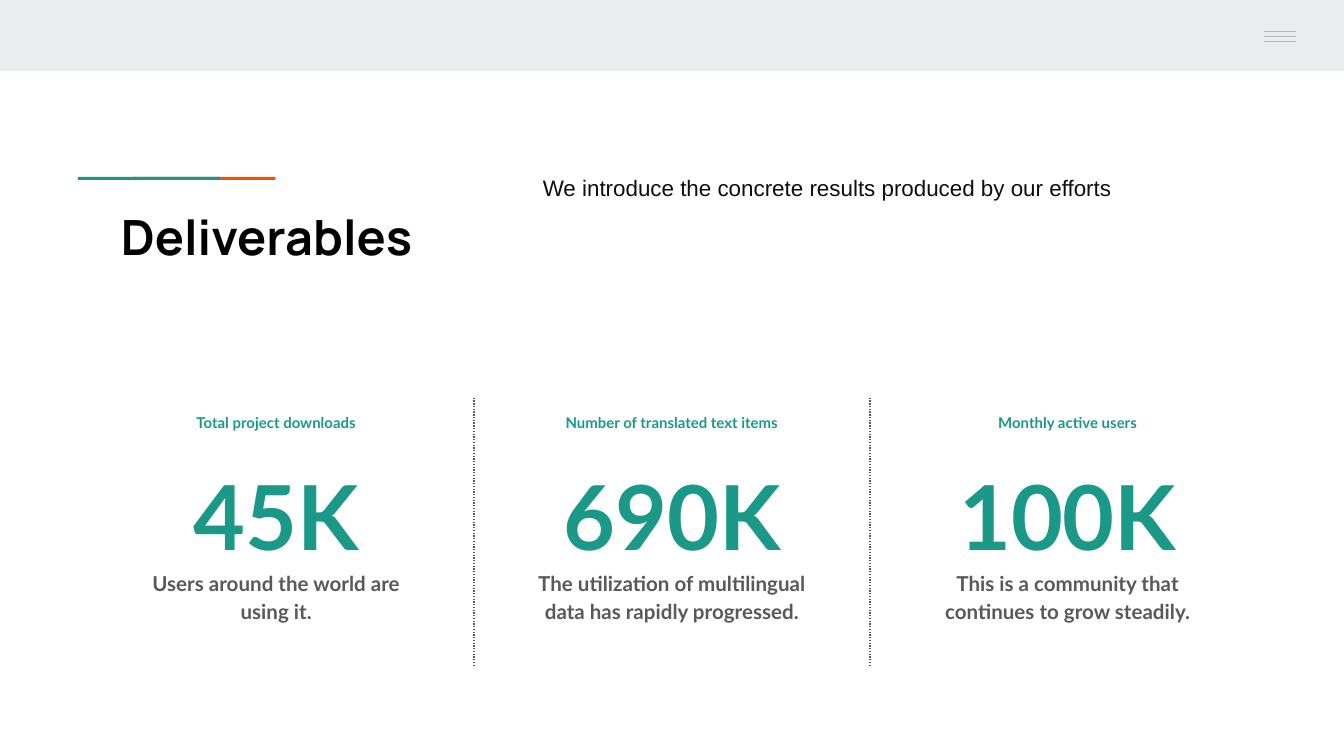
from dataclasses import dataclass

from pptx import Presentation
from pptx.dml.color import RGBColor as RGB
from pptx.enum.dml import MSO_LINE_DASH_STYLE as Dash
from pptx.enum.shapes import MSO_CONNECTOR as Conn, MSO_SHAPE as Shape
from pptx.enum.text import MSO_ANCHOR as Anchor, MSO_AUTO_SIZE as AutoSize, PP_ALIGN as Align
from pptx.oxml.ns import qn
from pptx.util import Pt


@dataclass(frozen=True)
class Theme:
    band: str = "E9EDEE"
    green: str = "1A9988"
    orange: str = "EB5600"
    menu: str = "B7B7B7"
    title: str = "000000"
    intro: str = "0E0E0E"
    grey: str = "595959"
    title_size: int = 26
    intro_size: int = 12
    label_size: int = 8
    number_size: int = 48
    detail_size: int = 11


THEME = Theme()
INSET = 7.2
COLUMN_PITCH = 212
FIRST_CENTRE = 148

STATS = [
    ("Total project downloads", "45K", "Users around the world are using it."),
    ("Number of translated text items", "690K",
     "The utilization of multilingual data has rapidly progressed."),
    ("Monthly active users", "100K",
     "This is a community that continues to grow steadily."),
]


def add_bar(s, x, y, w, h, color):
    bar = s.shapes.add_shape(Shape.RECTANGLE, Pt(x), Pt(y), Pt(w), Pt(h))
    bar.shadow.inherit = False
    bar.fill.solid()
    bar.fill.fore_color.rgb = RGB.from_string(color)
    bar.line.fill.background()


def add_line(s, x1, y1, x2, y2, color, dash=None):
    line = s.shapes.add_connector(Conn.STRAIGHT, Pt(x1), Pt(y1), Pt(x2), Pt(y2))
    line.line.color.rgb = RGB.from_string(color)
    line.line.width = Pt(0.75)
    if dash:
        line.line.dash_style = dash
    sp_pr = line._element.spPr
    sp_pr.append(sp_pr.makeelement(qn("a:effectLst"), {}))


def set_text(sp, text, size, font, color, bold=True, align=Align.LEFT, spacing=1.15):
    tf = sp.text_frame
    tf.word_wrap = True
    tf.auto_size = AutoSize.NONE
    tf.vertical_anchor = Anchor.TOP
    tf.margin_left = tf.margin_right = tf.margin_top = tf.margin_bottom = Pt(INSET)
    p = tf.paragraphs[0]
    p.text = text
    p.alignment = align
    p.line_spacing = spacing
    p.font.size = Pt(size)
    p.font.name = font
    p.font.bold = bold
    p.font.color.rgb = RGB.from_string(color)


def add_text(s, x, y, w, h, text, size, font, color, **style):
    box = s.shapes.add_textbox(Pt(x), Pt(y), Pt(w), Pt(h))
    set_text(box, text, size, font, color, **style)


def add_header(s):
    add_bar(s, 0, 0, 720, 38.2, THEME.band)
    for i in range(3):
        y = 17 + 2.6 * i
        add_line(s, 677, y, 694.2, y, THEME.menu)


def add_title(s, text):
    for x, color in ((71.3, THEME.orange), (41.8, THEME.green)):
        add_bar(s, x, 94.8, 76.3, 1.6, color)
    title = s.shapes.title
    title.left, title.top, title.width, title.height = Pt(57.6), Pt(103.7), Pt(220.3), Pt(81.4)
    set_text(title, text, THEME.title_size, "Manrope", THEME.title, spacing=1)


def add_stat(s, centre, stat):
    """Stack a label, a large number and a description around a column centre."""
    rows = (
        (213.1, 139, 18, THEME.label_size, THEME.green),
        (231.1, 181.4, 74.9, THEME.number_size, THEME.green),
        (296.6, 162.7, 58.3, THEME.detail_size, THEME.grey),
    )
    for text, (y, w, h, size, color) in zip(stat, rows):
        add_text(s, centre - w / 2, y, w, h, text, size, "Lato", color, align=Align.CENTER)


def main():
    prs = Presentation()
    prs.slide_width, prs.slide_height = Pt(720), Pt(405)
    s = prs.slides.add_slide(prs.slide_layouts[5])
    add_header(s)
    add_title(s, "Deliverables")
    add_text(s, 283.7, 84.2, 378, 81.4,
             "We introduce the concrete results produced by our efforts",
             THEME.intro_size, "Arial", THEME.intro, bold=False)
    for i, stat in enumerate(STATS):
        centre = FIRST_CENTRE + i * COLUMN_PITCH
        if i:
            x = centre - COLUMN_PITCH / 2
            add_line(s, x, 213.1, x, 357.1, THEME.grey, Dash.ROUND_DOT)
        add_stat(s, centre, stat)
    prs.save("out.pptx")


if __name__ == "__main__":
    main()
